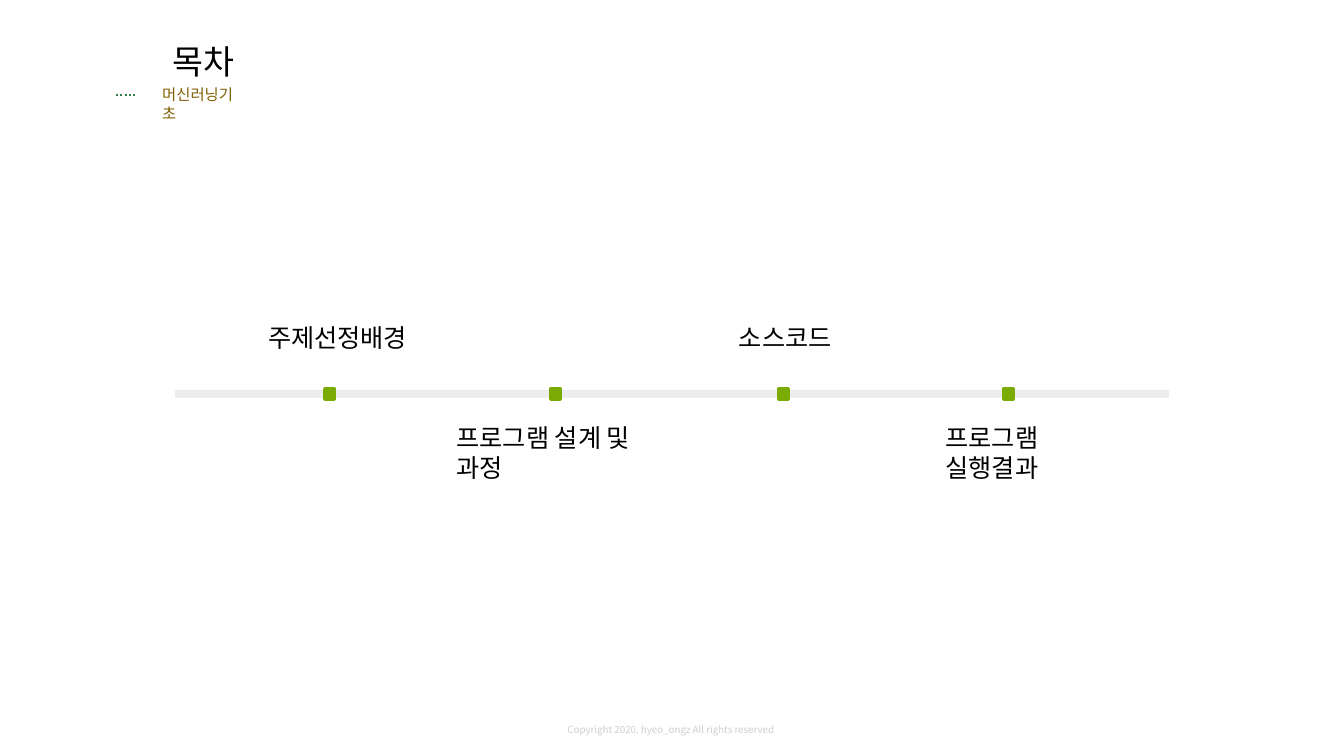
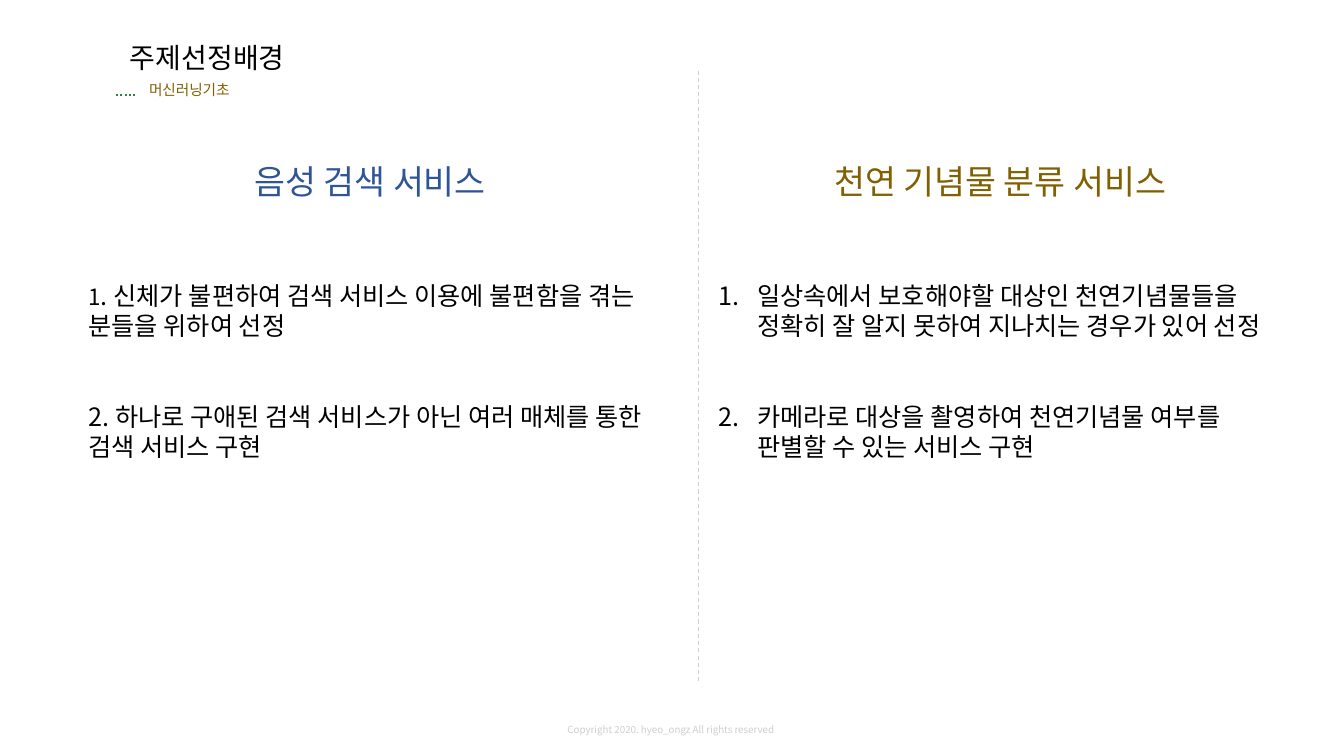
from lxml import etree
from pptx import Presentation
from pptx.dml.color import RGBColor
from pptx.enum.dml import MSO_LINE
from pptx.enum.shapes import MSO_CONNECTOR, MSO_SHAPE
from pptx.enum.text import MSO_AUTO_SIZE, PP_ALIGN
from pptx.oxml.ns import qn
from pptx.util import Inches, Pt

LINE, RECT = MSO_CONNECTOR.STRAIGHT, MSO_SHAPE.RECTANGLE
DOT, DASH = MSO_LINE.ROUND_DOT, MSO_LINE.DASH
LEFT, MID = PP_ALIGN.LEFT, PP_ALIGN.CENTER
GROW = MSO_AUTO_SIZE.SHAPE_TO_FIT_TEXT
FONT = "Noto Sans CJK KR"
LEAD = 1.19
HEX = {"ink": "000000", "gold": "806000", "blue": "2F5597", "lime": "79AB03",
       "pine": "317F46", "rail": "EDEDED", "pale": "D0CECE"}


def add_text(slide, at, paras, wrap=False, lead=LEAD):
    """Each paragraph: align, space before, numbered, runs of (text, size, colour)."""
    frame = slide.shapes.add_textbox(*[Inches(v) for v in at]).text_frame
    frame.word_wrap = wrap
    frame.auto_size = GROW
    for i, (align, gap, number, runs) in enumerate(paras):
        para = frame.paragraphs[0] if i == 0 else frame.add_paragraph()
        para.alignment = align
        para.line_spacing = Pt(round(runs[-1][1] * lead, 1))
        if gap:
            para.space_before = Pt(gap)
        if number:
            props = para._p.get_or_add_pPr()
            props.set("marL", str(Inches(0.38)))
            props.set("indent", str(-Inches(0.38)))
            etree.SubElement(props, qn("a:buFont"), typeface="+mj-lt")
            etree.SubElement(props, qn("a:buAutoNum"), type="arabicPeriod")
        for words, size, tone in runs:
            run = para.add_run()
            run.text = words
            run.font.size = Pt(size)
            run.font.color.rgb = RGBColor.from_string(HEX[tone])
            run.font.name = FONT
            etree.SubElement(run.font._element, qn("a:ea"), typeface=FONT)


def add_line(slide, ends, tone, width, dash=None):
    line = slide.shapes.add_connector(LINE, *[Inches(v) for v in ends])
    line.line.color.rgb = RGBColor.from_string(HEX[tone])
    line.line.width = Pt(width)
    if dash:
        line.line.dash_style = dash
    etree.SubElement(line._element.spPr, qn("a:effectLst"))


deck = Presentation()
deck.slide_width, deck.slide_height = Inches(13.33), Inches(7.5)

# Shared header and footer: title, its box, align, size, wrap, lead, then subtitle
heads = [
    ("목차", (1.34, 0.16, 1.35, 0.65), MID, 24, True, 1.5 * LEAD,
     (1.51, 0.8, 1.04, 0.29), 11),
    ("주제선정배경", (1.19, 0.36, 1.74, 0.44), LEFT, 20, False, LEAD,
     (1.38, 0.75, 1, 0.28), 10.5),
]
pages = []
for title, spot, align, size, wrap, lead, under, small in heads:
    page = deck.slides.add_slide(deck.slide_layouts[6])
    add_text(page, spot, [(align, 0, False, [(title, size, "ink")])], wrap, lead)
    add_text(page, under, [(LEFT, 0, False, [("머신러닝기초", small, "gold")])])
    add_line(page, (1.34, 0.94, 1.14, 0.94), "pine", 1.5, DOT)
    add_text(page, (5.53, 7.13, 2.28, 0.22), [(LEFT, 0, False, [
        ("Copyright 2020. hyeo_ongz All rights reserved", 7, "pale")])])
    pages.append(page)
toc, topic = pages

# Contents: timeline with one marker and label per part
add_line(toc, (1.74, 3.91, 11.59, 3.91), "rail", 6)
parts = [
    (3.22, "주제선정배경", (2.56, 3.15, 1.58, 0.4), False),
    (5.46, "프로그램 설계 및 과정", (4.43, 4.14, 2.1, 0.4), True),
    (7.72, "소스코드", (7.23, 3.15, 1.18, 0.4), False),
    (9.95, "프로그램 실행결과", (9.28, 4.14, 1.9, 0.4), True),
]
for left, label, spot, wrap in parts:
    mark = toc.shapes.add_shape(RECT, Inches(left), Inches(3.86), Inches(0.1), Inches(0.1))
    mark.shadow.inherit = False
    mark.fill.solid()
    mark.fill.fore_color.rgb = RGBColor.from_string(HEX["lime"])
    mark.line.color.rgb = RGBColor.from_string(HEX["lime"])
    mark.line.width = Pt(2.25)
    add_text(toc, spot, [(LEFT, 0, False, [(label, 18, "ink")])], wrap)

# Topic: two columns either side of a dashed rule
add_line(topic, (6.93, 0.7, 6.93, 6.79), "pale", 0.75, DASH)
cols = [
    (0.78, 3.67, "음성 검색 서비스", "blue", False, [
        [("1", 16, "ink"),
         (". 신체가 불편하여 검색 서비스 이용에 불편함을 겪는 분들을 위하여 선정", 18, "ink")],
        [("2. 하나로 구애된 검색 서비스가 아닌 여러 매체를 통한 검색 서비스 구현", 18, "ink")]]),
    (7.03, 3.4, "천연 기념물 분류 서비스", "gold", True, [
        [("일상속에서 보호해야할 대상인 천연기념물들을 정확히 잘 알지 못하여 지나치는 경우가 있어 선정",
          18, "ink")],
        [("카메라로 대상을 촬영하여 천연기념물 여부를 판별할 수 있는 서비스 구현", 18, "ink")]]),
]
for left, high, name, tone, number, items in cols:
    paras = [(MID, 0, False, [(name, 24, tone)])]
    paras += [(LEFT, gap, number, runs) for gap, runs in zip((57, 43), items)]
    add_text(topic, (left, 1.55, 5.78, high), paras, True)

deck.save("out.pptx")
